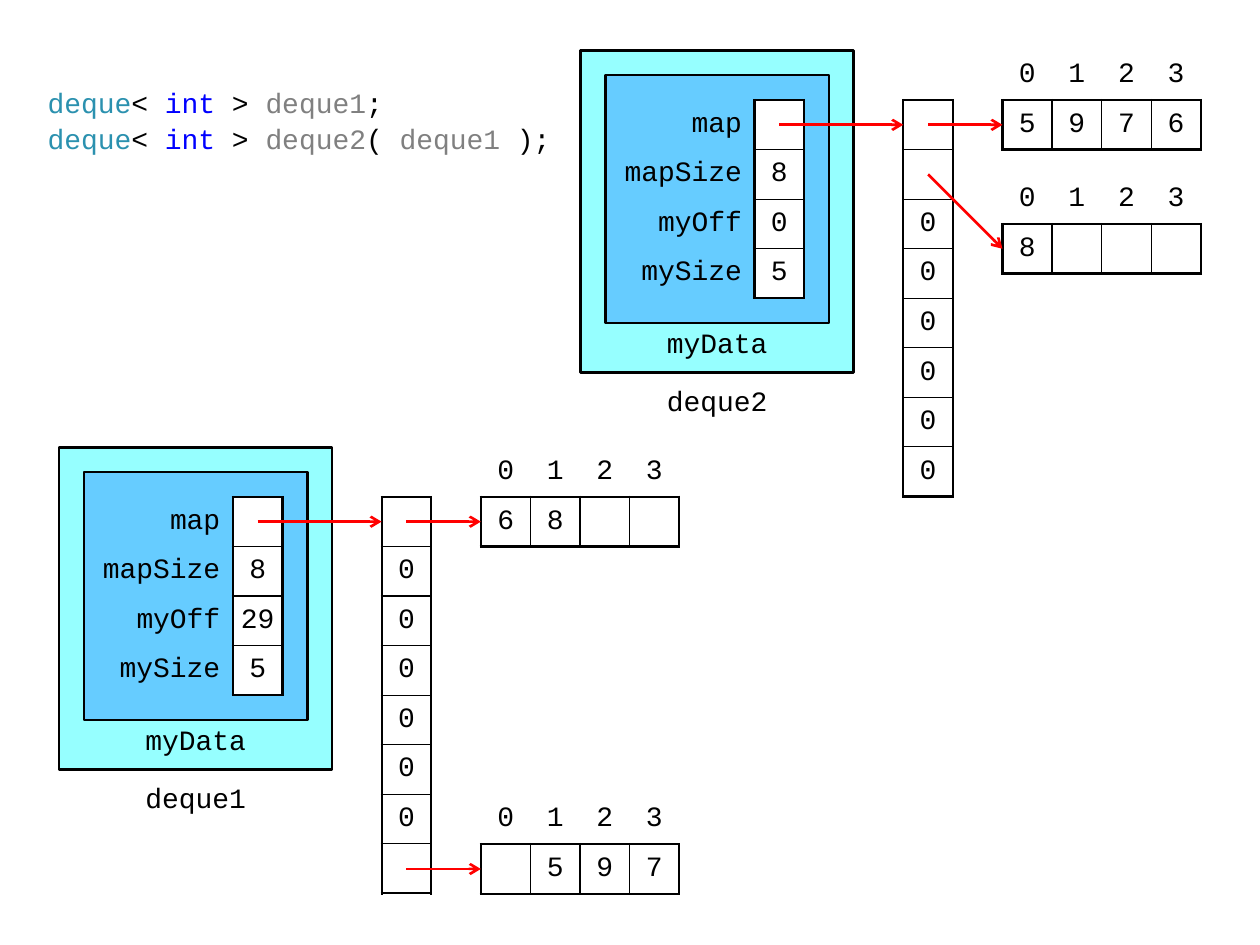
import pptx
import pptx.util
import pptx.dml.color
import pptx.enum.shapes
import pptx.enum.text
import pptx.oxml
import pptx.oxml.ns
from lxml import etree

Inches, Pt = pptx.util.Inches, pptx.util.Pt
ALIGN, ANCHOR = pptx.enum.text.PP_ALIGN, pptx.enum.text.MSO_ANCHOR

THEME = {
    "font": "Courier New", "size": 16, "thick": 1.5, "thin": 0.75,
    "ink": "000000", "type": "2B91AF", "key": "0000FF", "name": "808080",
    "outer": "96FFFF", "inner": "66CCFF", "cell": "FFFFFF", "arrow": "FF0000",
}
CODE = [
    [("deque", "type"), ("< ", "ink"), ("int", "key"), (" > ", "ink"),
     ("deque1", "name"), (";", "ink")],
    [("deque", "type"), ("< ", "ink"), ("int", "key"), (" > ", "ink"),
     ("deque2", "name"), ("( ", "ink"), ("deque1", "name"), (" );", "ink")],
]
FIELDS = ["map", "mapSize", "myOff", "mySize"]
# Each block: (slot of the map that points to it, row offset, values)
DEQUES = [
    {"name": "deque2", "at": (4.61, 0.4), "values": ["", "8", "0", "5"],
     "blocks": [(0, 0, ["5", "9", "7", "6"]), (1, 2.5, ["8", "", "", ""])]},
    {"name": "deque1", "at": (0.47, 3.55), "values": ["", "8", "29", "5"],
     "blocks": [(0, 0, ["6", "8", "", ""]), (7, 7, ["", "5", "9", "7"])]},
]
SLOTS = 8
UNIT = 1 / 2.54  # side of one square cell: one centimetre
MAP_X, BLOCK_X = 6.5, 8.5  # in cells, from the left of the deque

deck = pptx.Presentation()
deck.slide_width, deck.slide_height = Inches(10), Inches(7.5)
slide = deck.slides.add_slide(deck.slide_layouts[6])
shapes = slide.shapes


def color(key):
    return pptx.dml.color.RGBColor.from_string(THEME[key])


def add_run(para, text, key="ink"):
    run = para.add_run()
    run.text = text
    run.font.name = THEME["font"]
    run.font.size = Pt(THEME["size"])
    run.font.color.rgb = color(key)


def add_box(left, top, width, height, key):
    kind = pptx.enum.shapes.MSO_SHAPE.FLOWCHART_PROCESS
    box = shapes.add_shape(kind, *map(Inches, (left, top, width, height)))
    box.shadow.inherit = False
    box.fill.solid()
    box.fill.fore_color.rgb = color(key)
    box.line.color.rgb = color("ink")
    box.line.width = Pt(THEME["thick"])


def add_label(text, left, top, width, anchor, inset):
    box = shapes.add_textbox(*map(Inches, (left, top, width, UNIT)))
    frame = box.text_frame
    frame.word_wrap = False
    frame.vertical_anchor = anchor
    frame.margin_left = frame.margin_right = Inches(0.08)
    frame.margin_top, frame.margin_bottom = Inches(inset), 0
    para = frame.paragraphs[0]
    para.alignment = ALIGN.CENTER
    add_run(para, text)


def add_arrow(start, end):
    kind = pptx.enum.shapes.MSO_CONNECTOR.STRAIGHT
    line = shapes.add_connector(kind, *map(Inches, start + end))
    line.line.color.rgb = color("arrow")
    line.line.width = Pt(THEME["thick"])
    ns = pptx.oxml.ns.qn
    tail = etree.SubElement(line.line._get_or_add_ln(), ns("a:tailEnd"))
    tail.set("type", "arrow")
    etree.SubElement(line._element.spPr, ns("a:effectLst"))


def set_edge(cell, index, side, inside, beyond):
    """Draw thin lines between boxed cells and thick ones around them."""
    width = Pt(THEME["thin" if inside and beyond else "thick"])
    paint = "<a:noFill/>"
    if inside or beyond:
        paint = f'<a:solidFill><a:srgbClr val="{THEME["ink"]}"/></a:solidFill>'
    edge = pptx.oxml.parse_xml(
        f'<a:ln{side} {pptx.oxml.ns.nsdecls("a")} w="{width}">{paint}</a:ln{side}>')
    cell._tc.get_or_add_tcPr().insert(index, edge)


def add_grid(rows, widths, left, top, boxed):
    """Add a table; boxed(row, col) tells which cells have a frame."""
    high, wide = len(rows), len(widths)
    place = (left, top, sum(widths) * UNIT, high * UNIT)
    table = shapes.add_table(high, wide, *map(Inches, place)).table
    table.first_row = table.horz_banding = False
    for col, width in zip(table.columns, widths):
        col.width = Inches(width * UNIT)
    for row in table.rows:
        row.height = Inches(UNIT)

    def framed(r, c):
        return 0 <= r < high and 0 <= c < wide and boxed(r, c)

    for r, texts in enumerate(rows):
        for c, text in enumerate(texts):
            cell, label = table.cell(r, c), widths[c] > 1
            cell.vertical_anchor = ANCHOR.MIDDLE
            cell.margin_top = cell.margin_bottom = Inches(0.04)
            cell.margin_left = cell.margin_right = Inches(0.1 if label else 0)
            if framed(r, c):
                cell.fill.solid()
                cell.fill.fore_color.rgb = color("cell")
            else:
                cell.fill.background()
            sides = [("L", 0, -1), ("R", 0, 1), ("T", -1, 0), ("B", 1, 0)]
            for i, (side, down, right) in enumerate(sides):
                set_edge(cell, i, side, framed(r, c), framed(r + down, c + right))
            para = cell.text_frame.paragraphs[0]
            para.alignment = ALIGN.RIGHT if label else ALIGN.CENTER
            if text:
                add_run(para, text)


def add_code():
    box = shapes.add_textbox(*map(Inches, (0.28, 0.6, 4.33, 0.79)))
    frame = box.text_frame
    frame.word_wrap = True
    frame.margin_top = Inches(0.08)
    for i, line in enumerate(CODE):
        para = frame.add_paragraph() if i else frame.paragraphs[0]
        if i:
            para.space_before = Pt(1.3)
        for text, key in line:
            add_run(para, text, key)


def add_deque(deque):
    left, top = deque["at"]

    def spot(col, row):
        return left + col * UNIT, top + row * UNIT

    add_box(left, top, 5.5 * UNIT, 6.5 * UNIT, "outer")
    add_box(*spot(0.5, 0.5), 4.5 * UNIT, 5 * UNIT, "inner")
    add_label(deque["name"], *spot(1, 6.5), 3.5 * UNIT, ANCHOR.MIDDLE, 0.04)
    add_label("myData", *spot(1.5, 5.5), 2.5 * UNIT, ANCHOR.TOP, 0.02)
    add_grid(list(zip(FIELDS, deque["values"])), [3, 1], *spot(0.5, 1),
             lambda r, c: c == 1)
    used = [slot for slot, _, _ in deque["blocks"]]
    slots = [["" if i in used else "0"] for i in range(SLOTS)]
    add_grid(slots, [1], *spot(MAP_X, 1), lambda r, c: True)
    add_arrow(spot(4, 1.5), spot(MAP_X, 1.5))
    for slot, row, values in deque["blocks"]:
        heads = [str(i) for i in range(len(values))]
        add_grid([heads, values], [1] * len(values), *spot(BLOCK_X, row),
                 lambda r, c: r == 1)
        add_arrow(spot(MAP_X + 0.5, slot + 1.5), spot(BLOCK_X, row + 1.5))


add_code()
for deque in DEQUES:
    add_deque(deque)
deck.save("out.pptx")
